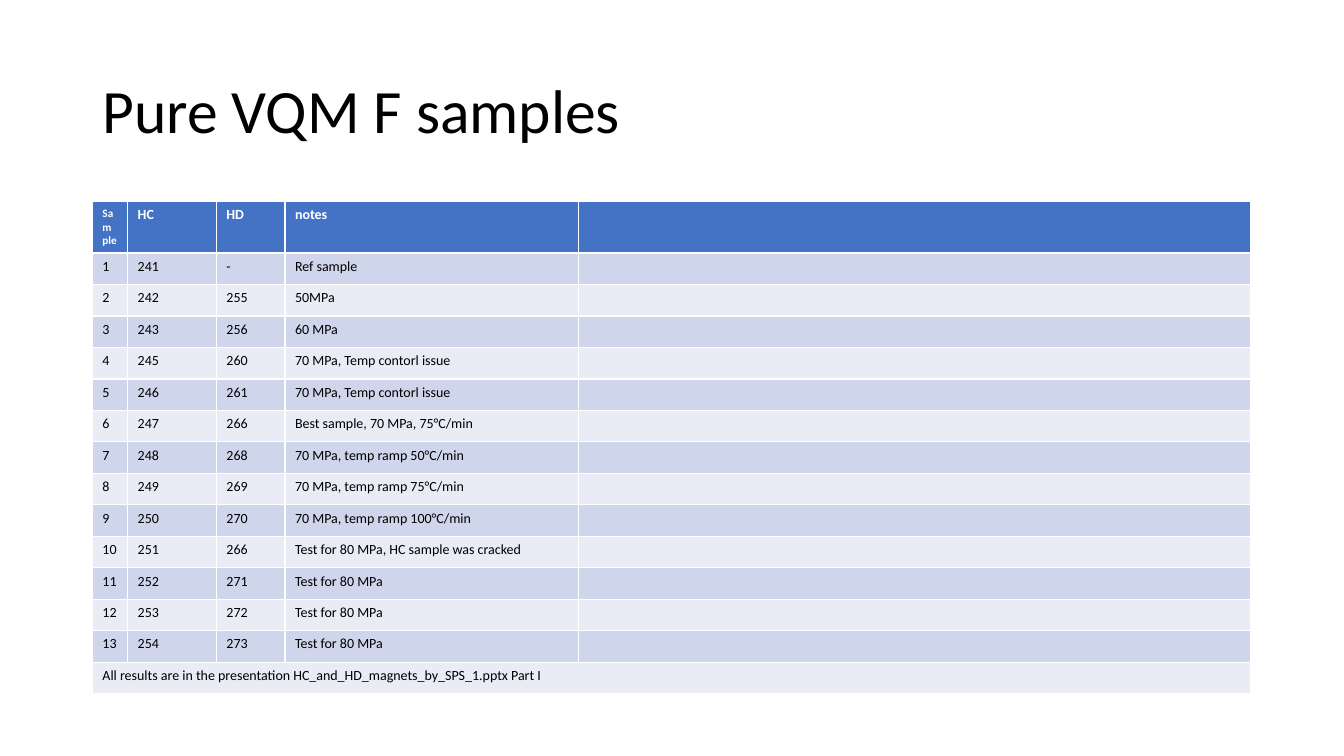
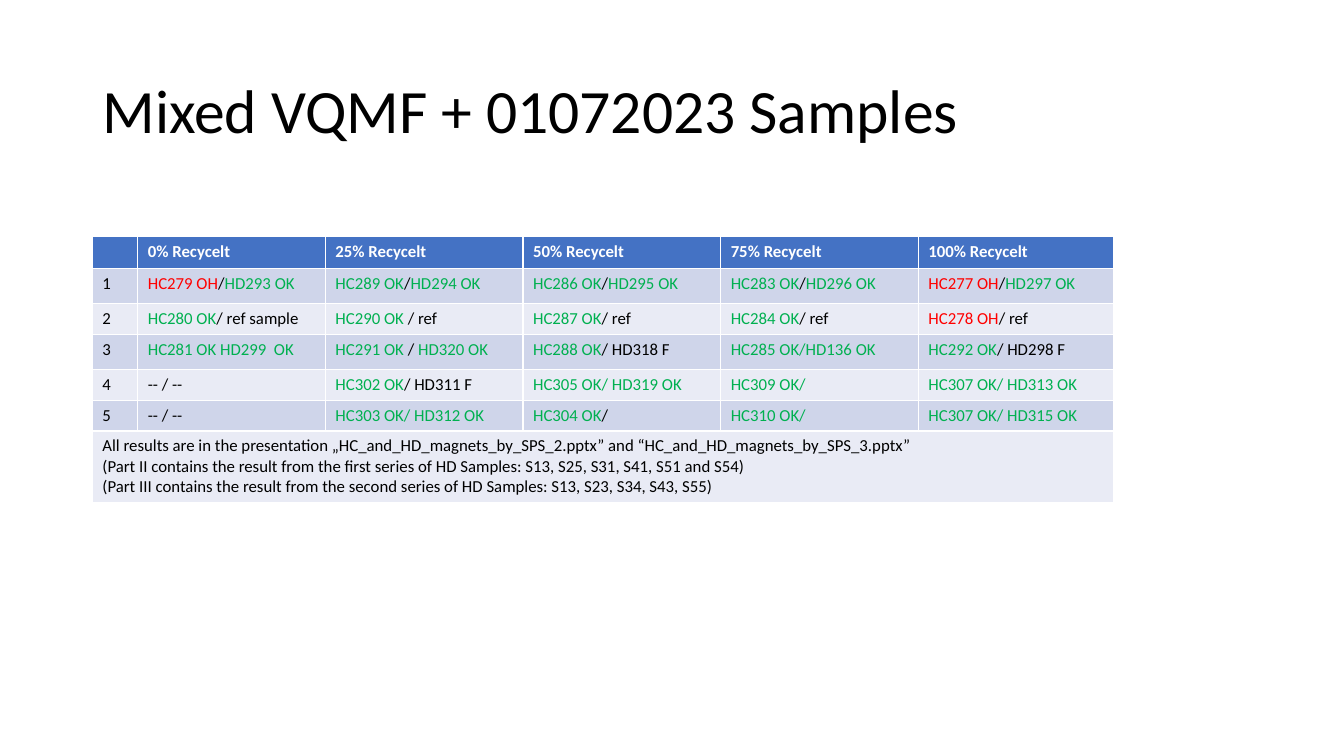
"""Build two slides that list magnet samples in banded tables."""
from pptx import Presentation
from pptx.dml.color import RGBColor
from pptx.enum import text as t
from pptx.util import Pt

FONT = "Calibri"
BLACK, WHITE, RED, GREEN = "000000", "FFFFFF", "FF0000", "00B050"
HEADER_FILL = "4472C4"
BAND_FILLS = ["E9EBF5", "CFD5EA"]
LEFT = 66


def add_span(para, words, size, color=BLACK, bold=False):
    """Add one formatted run to a paragraph."""
    span = para.add_run()
    span.text = words
    span.font.name = FONT
    span.font.size = Pt(size)
    span.font.bold = bold
    span.font.color.rgb = RGBColor.from_string(color)


def status_color(words):
    """Return green for passed samples, red for OH and black otherwise."""
    return GREEN if "OK" in words else RED if "OH" in words else BLACK


pure_notes = [
    ("241", "-", "Ref sample"),
    ("242", "255", "50MPa"),
    ("243", "256", "60 MPa"),
    ("245", "260", "70 MPa, Temp contorl issue"),
    ("246", "261", "70 MPa, Temp contorl issue"),
    ("247", "266", "Best sample, 70 MPa, 75°C/min"),
    ("248", "268", "70 MPa, temp ramp 50°C/min"),
    ("249", "269", "70 MPa, temp ramp 75°C/min"),
    ("250", "270", "70 MPa, temp ramp 100°C/min"),
    ("251", "266", "Test for 80 MPa, HC sample was cracked"),
    ("252", "271", "Test for 80 MPa"),
    ("253", "272", "Test for 80 MPa"),
    ("254", "273", "Test for 80 MPa"),
]
# "|" separates the spans of a cell
mixed_results = [
    ("HC279 OH|/|HD293 OK", "HC289 OK|/|HD294 OK", "HC286 OK|/|HD295 OK",
     "HC283 OK|/|HD296 OK", "HC277 OH|/|HD297 OK"),
    ("HC280 OK|/ ref sample", "HC290 OK |/ ref", "HC287 OK|/ ref",
     "HC284 OK|/ ref", "HC278 OH|/ ref"),
    ("HC281 OK HD299  OK", "HC291 OK |/ |HD320 OK", "HC288 OK|/ HD318 F",
     "HC285 OK/HD136 OK", "HC292 OK|/ HD298 F"),
    ("-- / --", "HC302 OK|/ HD311 F", "HC305 OK/ HD319 OK",
     "HC309 OK/", "HC307 OK/ HD313 OK"),
    ("-- / --", "HC303 OK/ HD312 OK", "HC304 OK|/",
     "HC310 OK/", "HC307 OK/ HD315 OK"),
]
slides = [
    {
        "title": "Pure VQM F samples",
        "top": 144,
        "size": 10,
        "widths": [25.2, 63.4, 49, 209.5, 480.5],
        "heights": [36] + [22.5] * 14,
        "header": ["Sample", "HC", "HD", "notes", ""],
        "body": [(*row, "") for row in pure_notes],
        "footer": ["All results are in the presentation HC_and_HD_magnets_by_SPS_1.pptx Part I"],
    },
    {
        "title": "Mixed VQMF + 01072023 Samples",
        "top": 168.8,
        "size": 12,
        "widths": [32.4, 134] + [141.2] * 3 + [139.7],
        "heights": [22.8, 25, 22.3, 25, 22, 22, 50.6],
        "header": [""] + [f"{share}% Recycelt" for share in range(0, 101, 25)],
        "body": mixed_results,
        "footer": [
            "All results are in the presentation „HC_and_HD_magnets_by_SPS_2.pptx” and “HC_and_HD_magnets_by_SPS_3.pptx”",
            "(Part II contains the result from the first series of HD Samples: S13, S25, S31, S41, S51 and S54)",
            "(Part III contains the result from the second series of HD Samples: S13, S23, S34, S43, S55)",
        ],
    },
]

deck = Presentation()
deck.slide_width, deck.slide_height = Pt(960), Pt(540)

for content in slides:
    page = deck.slides.add_slide(deck.slide_layouts[5])
    title = page.shapes.title
    title.left, title.top, title.width, title.height = Pt(LEFT), Pt(28.8), Pt(828), Pt(104.4)
    title.text_frame.auto_size = t.MSO_AUTO_SIZE.NONE
    title.text_frame.vertical_anchor = t.MSO_ANCHOR.MIDDLE
    para = title.text_frame.paragraphs[0]
    para.alignment = t.PP_ALIGN.LEFT
    para.line_spacing = 0.9
    add_span(para, content["title"], 44)

    size, widths, heights = content["size"], content["widths"], content["heights"]
    last = len(heights) - 1
    table = page.shapes.add_table(len(heights), len(widths), Pt(LEFT), Pt(content["top"]),
                                  Pt(sum(widths)), Pt(sum(heights))).table
    for column, width in zip(table.columns, widths):
        column.width = Pt(width)
    for row, height in zip(table.rows, heights):
        row.height = Pt(height)
    table.cell(last, 0).merge(table.cell(last, len(widths) - 1))

    numbered = [(str(number), *row) for number, row in enumerate(content["body"], 1)]
    footer_row = ["\n".join(content["footer"])] + [""] * (len(widths) - 1)
    for row_index, row in enumerate([content["header"], *numbered, footer_row]):
        is_header = row_index == 0
        fill = HEADER_FILL if is_header else BAND_FILLS[row_index % 2]
        for column_index, words in enumerate(row):
            cell = table.cell(row_index, column_index)
            cell.fill.solid()
            cell.fill.fore_color.rgb = RGBColor.from_string(fill)
            frame = cell.text_frame
            for line_index, line in enumerate(words.split("\n")):
                para = frame.add_paragraph() if line_index else frame.paragraphs[0]
                for piece in filter(None, line.split("|")):
                    add_span(para, piece, 8 if piece == "Sample" else size,
                             WHITE if is_header else status_color(piece), is_header)
                para._p.get_or_add_endParaRPr().set("sz", str(size * 100))

deck.save("out.pptx")
